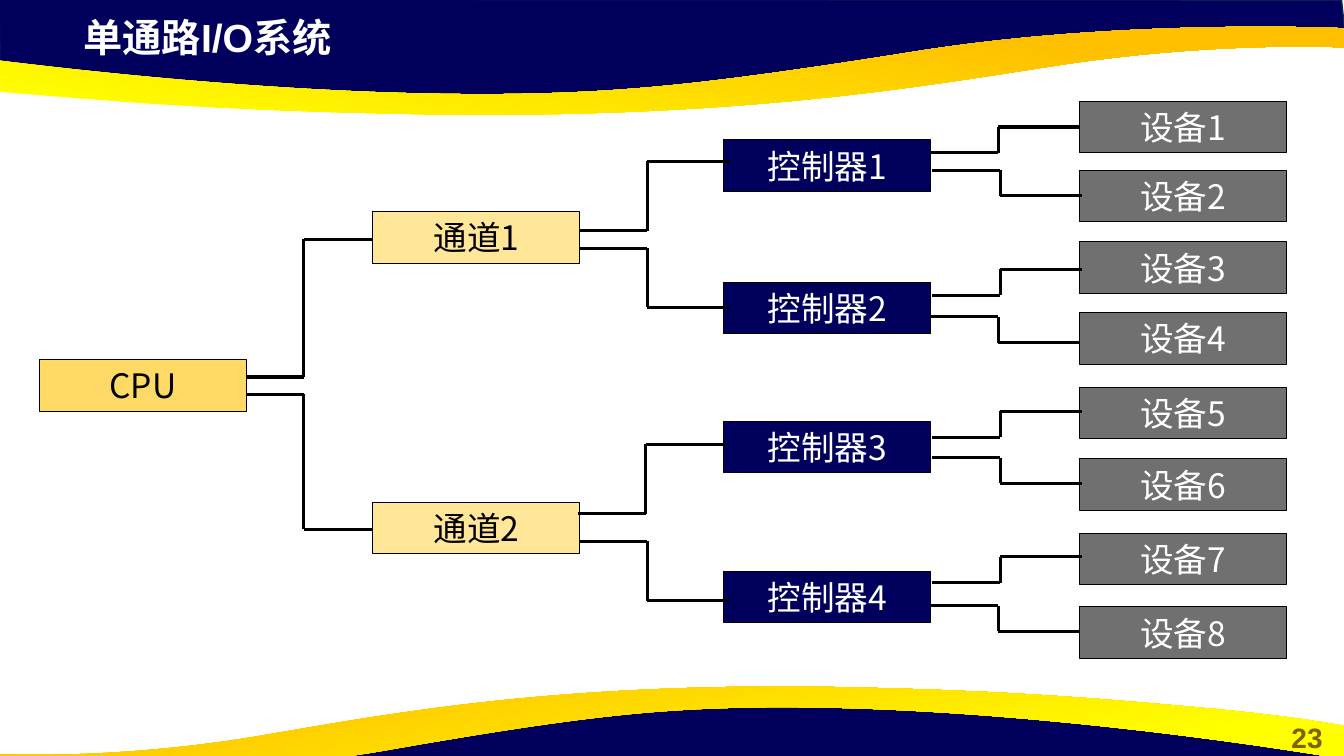
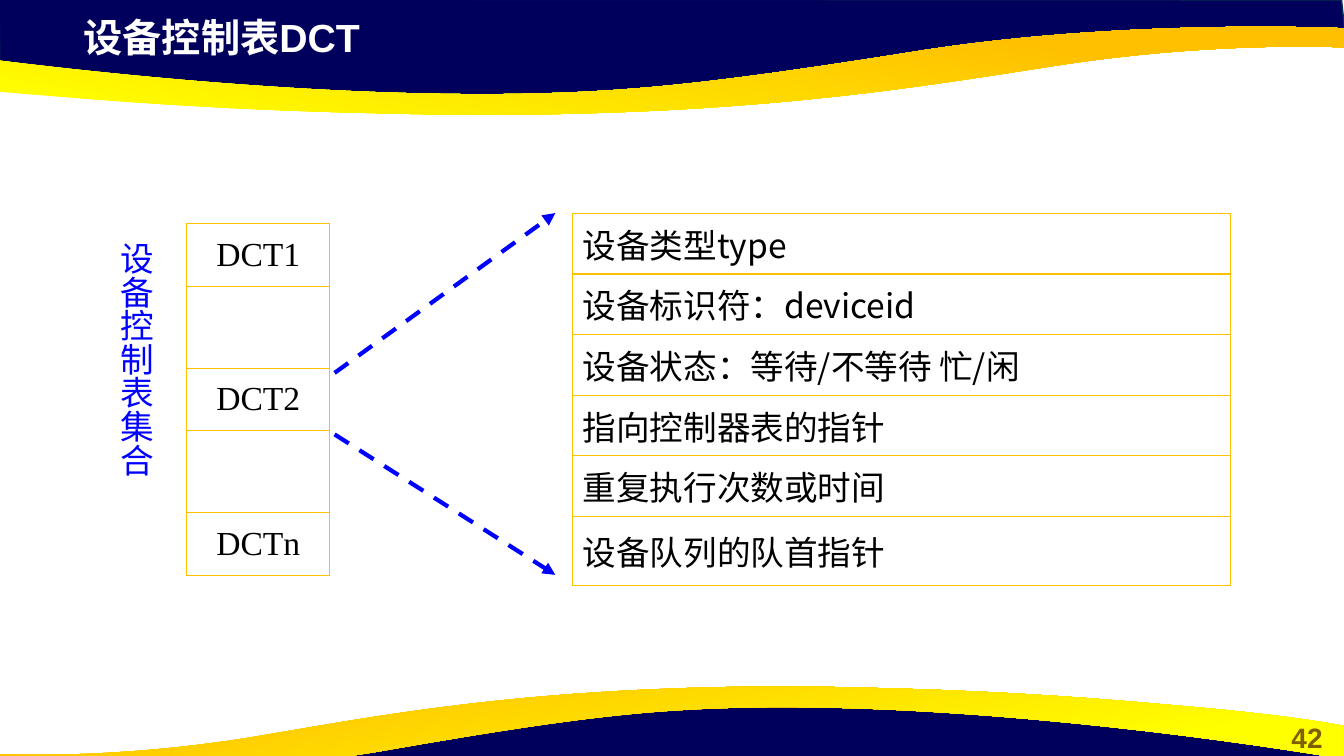
from dataclasses import dataclass
from itertools import pairwise

from lxml.etree import SubElement
from pptx import Presentation
from pptx.dml.color import RGBColor
from pptx.enum.dml import MSO_LINE
from pptx.enum.shapes import MSO_CONNECTOR, MSO_SHAPE
from pptx.enum.text import MSO_ANCHOR, MSO_AUTO_SIZE, PP_ALIGN
from pptx.oxml import parse_xml
from pptx.oxml.ns import nsdecls, qn
from pptx.util import Pt


@dataclass(frozen=True)
class Theme:
    navy: RGBColor = RGBColor(0x00, 0x00, 0x5C)
    navy_edge: RGBColor = RGBColor(0x05, 0x30, 0x4F)
    gold: RGBColor = RGBColor(0xFF, 0xC0, 0x00)
    yellow: RGBColor = RGBColor(0xFF, 0xFF, 0x00)
    amber: RGBColor = RGBColor(0xFF, 0xD9, 0x66)
    cream: RGBColor = RGBColor(0xFF, 0xE6, 0x99)
    gray: RGBColor = RGBColor(0x70, 0x70, 0x70)
    brown: RGBColor = RGBColor(0x80, 0x60, 0x00)
    blue: RGBColor = RGBColor(0x00, 0x00, 0xFF)
    black: RGBColor = RGBColor(0x00, 0x00, 0x00)
    white: RGBColor = RGBColor(0xFF, 0xFF, 0xFF)
    sans: str = "Arial"
    cjk: str = "Noto Sans CJK SC"
    serif: str = "Times New Roman"
    title: int = 28
    body: int = 24
    number: int = 20


theme = Theme()


def add_run(p, text, size, color, font, bold=False):
    r = p.add_run()
    r.text = text
    r.font.size = Pt(size)
    r.font.bold = bold
    r.font.color.rgb = color
    r.font.name = font
    SubElement(r._r.get_or_add_rPr(), qn("a:ea"), typeface=theme.cjk)


def add_line(slide, start, end, color, width):
    cx = slide.shapes.add_connector(
        MSO_CONNECTOR.STRAIGHT, *(Pt(v) for v in (*start, *end)))
    cx.line.color.rgb = color
    cx.line.width = Pt(width)
    SubElement(cx.element.spPr, qn("a:effectLst"))
    return cx


prs = Presentation()
prs.slide_width, prs.slide_height = Pt(960), Pt(540)

navy_top = [
    [(-0.7, -0.7)], [(0, 50.4)], [(211, 73.4)], [(402.5, 72)], [(572.4, 63.4)],
    [(731.5, 36)], [(891.4, 23.8)], [(961.2, 27.4)], [(958.3, 0)],
]
navy_bottom = [[(959 - x, 571 - y) for x, y in part] for part in navy_top]

ribbon_top = [
    [(347.8, 82.1)],
    [(319, 82.1), (288.7, 81.4), (256.3, 80.6)],
    [(148.3, 77.8), (79.2, 72), (25.9, 67.7)],
    [(-63.4, 60.5), (-93.6, 54), (-95.8, 54)],
    [(-95.8, 30.2), (-95.8, 30.2), (-95.8, 30.2)],
    [(-95.8, 30.2), (157, 70.6), (372.2, 67)],
    [(450.7, 65.5), (509.8, 59.8), (658.8, 36)],
    [(807.1, 13), (959.8, 20.2), (959.8, 20.2)],
    [(959.8, 23)],
    [(959.8, 33.8)],
    [(957.6, 33.8)],
    [(939.6, 33.1), (860.4, 31), (759.6, 46.1)],
    [(661, 61.2), (548.6, 81.4), (347.8, 82.1)],
]
ribbon_bottom = [[(959.8 - 0.91 * (x + 95.8), 572.4 - y) for x, y in part]
                 for part in ribbon_top]

bands = [
    (navy_top, None, []),
    (ribbon_top, 80, [(0.11, theme.yellow), (0.78, theme.gold)]),
    (navy_bottom, None, []),
    (ribbon_bottom, 280, [(0.11, theme.gold), (0.78, theme.yellow)]),
]

slides = []
for title, number in [("单通路I/O系统", "23"), ("设备控制表DCT", "42")]:
    s = prs.slides.add_slide(prs.slide_layouts[6])
    slides.append(s)
    for parts, angle, stops in bands:
        points = [(Pt(x), Pt(y)) for part in parts for x, y in part]
        builder = s.shapes.build_freeform(*points[0])
        builder.add_line_segments(points[1:], close=True)
        sp = builder.convert_to_shape()
        sp.shadow.inherit = False
        steps = iter(list(sp.element.iter(qn("a:lnTo"))))
        for part in parts[1:]:
            group = [next(steps) for _ in part]
            if len(group) == 3:
                curve = parse_xml(f'<a:cubicBezTo {nsdecls("a")}/>')
                group[0].addprevious(curve)
                for step in group:
                    curve.append(step[0])
                    step.getparent().remove(step)
        if angle is None:
            sp.fill.solid()
            sp.fill.fore_color.rgb = theme.navy
            sp.line.color.rgb = theme.navy_edge
            sp.line.width = Pt(1)
        else:
            sp.fill.gradient()
            sp.fill.gradient_angle = angle
            for stop, (position, color) in zip(sp.fill.gradient_stops, stops):
                stop.position = position
                stop.color.rgb = color
            sp.line.fill.background()
    for text, box, size, color, align in [
        (number, (907.4, 510.8, 52.5, 31.5), theme.number, theme.brown, PP_ALIGN.CENTER),
        (title, (52.6, 6.1, 553, 41), theme.title, theme.white, PP_ALIGN.LEFT),
    ]:
        tf = s.shapes.add_textbox(*(Pt(v) for v in box)).text_frame
        tf.word_wrap = True
        tf.auto_size = MSO_AUTO_SIZE.SHAPE_TO_FIT_TEXT
        tf.paragraphs[0].alignment = align
        add_run(tf.paragraphs[0], text, size, color, theme.sans, bold=True)

tree_slide, table_slide = slides

levels = [
    ("CPU", 28.1, theme.amber, theme.black, [257]),
    ("通道", 266.4, theme.cream, theme.black, [151.2, 358.8]),
    ("控制器", 517, theme.navy, theme.white, [100, 201.6, 301, 408.2]),
    ("设备", 771.2, theme.gray, theme.white,
     [72.2, 121.8, 172.8, 223.4, 276.7, 327.8, 381.1, 433.5]),
]
for name, left, fill, color, tops in levels:
    for n, top in enumerate(tops, 1):
        sp = tree_slide.shapes.add_shape(
            MSO_SHAPE.RECTANGLE, Pt(left), Pt(top), Pt(147.8), Pt(36.8))
        sp.shadow.inherit = False
        sp.fill.solid()
        sp.fill.fore_color.rgb = fill
        sp.line.color.rgb = theme.black
        sp.line.width = Pt(0.75)
        tf = sp.text_frame
        tf.word_wrap = False
        tf.vertical_anchor = MSO_ANCHOR.MIDDLE
        p = tf.paragraphs[0]
        p.alignment = PP_ALIGN.CENTER
        label = f"{name}{n}" if len(tops) > 1 else name
        add_run(p, label, theme.body, color, theme.cjk)

branches = [
    ((176, 217, 266.4), [(269.3, 170.8, 0), (281.5, 378, 0)]),
    ((414.2, 462.5, 520.5), [(164.7, 115.2, 0), (177.2, 219.6, 0),
                             (367, 317.5, -1.4), (386.6, 429, 0)]),
    ((666, 714.4, 772.6), [(109.2, 90.7, -1.4), (121.7, 139.8, 0),
                           (211, 192.4, 0), (226.3, 244.8, -1.4),
                           (312.5, 293.8, 0), (327, 345.2, 0),
                           (416.2, 397.6, 0), (432.7, 450.9, -1.4)]),
]
for (x0, bend, x1), joints in branches:
    for y0, y1, dx in joints:
        route = [(x0 + dx, y0), (bend + dx, y0), (bend + dx, y1), (x1 + dx, y1)]
        for start, end in pairwise(route):
            add_line(tree_slide, start, end, theme.black, 2.25)

tables = [
    ((133.4, 159.8), 102.2, [44.6, 58.6, 44.6, 58.7, 44.6],
     ["DCT1", "", "DCT2", "", "DCTn"], theme.serif, PP_ALIGN.CENTER),
    ((409, 152.4), 470.2, [43.3] * 5 + [49.4],
     ["设备类型type", "设备标识符：deviceid", "设备状态：等待/不等待 忙/闲",
      "指向控制器表的指针", "重复执行次数或时间", "设备队列的队首指针"],
     theme.cjk, PP_ALIGN.LEFT),
]
for (left, top), width, heights, texts, font, align in tables:
    table = table_slide.shapes.add_table(
        len(texts), 1, Pt(left), Pt(top), Pt(width), Pt(sum(heights))).table
    table.first_row = table.horz_banding = False
    for row, height, text in zip(table.rows, heights, texts):
        row.height = Pt(height)
        cell = row.cells[0]
        cell.fill.background()
        cell.vertical_anchor = MSO_ANCHOR.MIDDLE
        for i, side in enumerate(("lnL", "lnR", "lnT", "lnB")):
            cell._tc.get_or_add_tcPr().insert(i, parse_xml(
                f'<a:{side} {nsdecls("a")} w="{Pt(1)}"><a:solidFill>'
                f'<a:srgbClr val="{theme.gold}"/></a:solidFill></a:{side}>'))
        if text:
            p = cell.text_frame.paragraphs[0]
            p.alignment = align
            add_run(p, text, theme.body, theme.black, font)

for start, end in [((239, 266.4), (396.7, 152.2)), ((239, 310.3), (396.7, 410.6))]:
    arrow = add_line(table_slide, start, end, theme.blue, 3)
    arrow.line.dash_style = MSO_LINE.DASH
    SubElement(arrow.element.spPr.find(qn("a:ln")), qn("a:tailEnd"), type="triangle")

tf = table_slide.shapes.add_textbox(Pt(71.5), Pt(165.8), Pt(43.9), Pt(224.6)).text_frame
tf.word_wrap = True
tf.auto_size = MSO_AUTO_SIZE.SHAPE_TO_FIT_TEXT
tf._txBody.bodyPr.set("vert", "eaVert")
p = tf.paragraphs[0]
p.alignment = PP_ALIGN.CENTER
add_run(p, "设备控制表集合", theme.body, theme.blue, theme.cjk)

prs.save("out.pptx")
